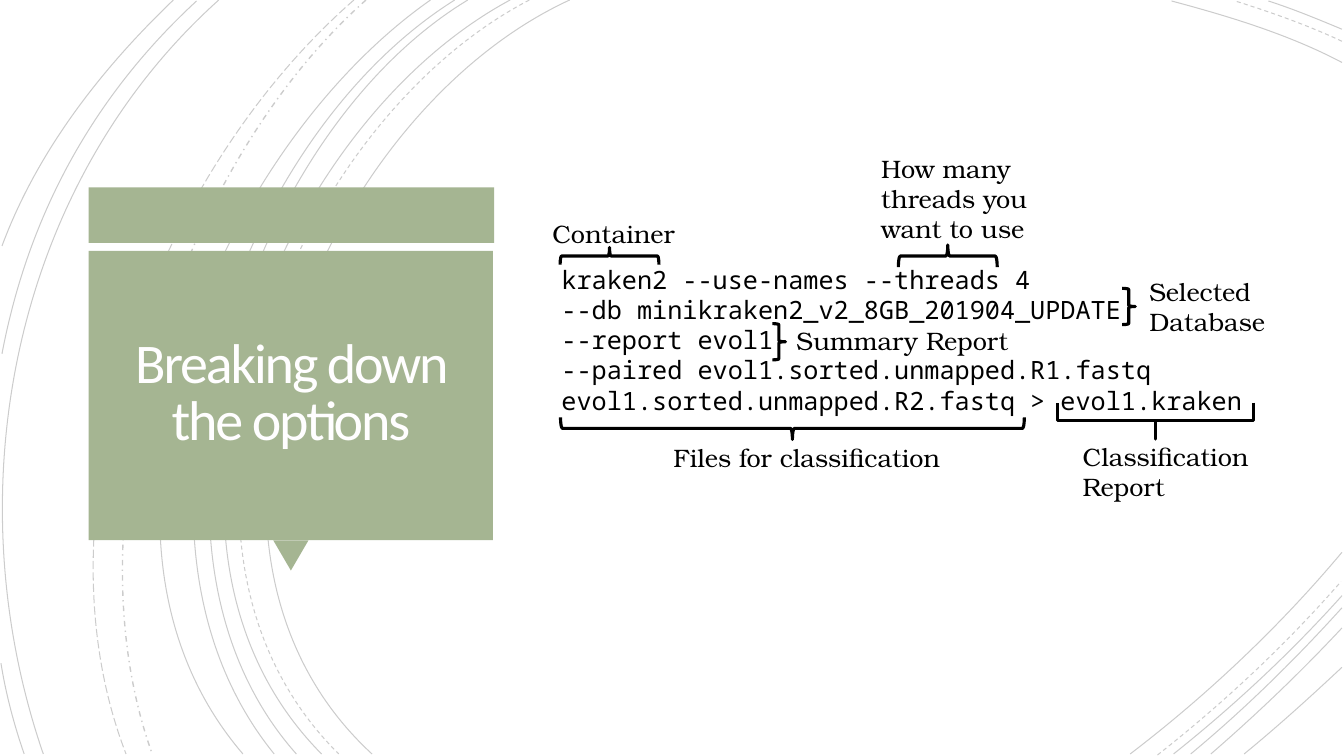
import pptx
import pptx.util
import pptx.dml.color
import pptx.enum.dml
import pptx.enum.shapes
import pptx.enum.text
import pptx.oxml
import pptx.oxml.ns
import lxml.etree

Inches = pptx.util.Inches
Pt = pptx.util.Pt
Preset = pptx.enum.shapes.MSO_SHAPE
Dash = pptx.enum.dml.MSO_LINE
qn = pptx.oxml.ns.qn


def paint(color_format, color):
    color_format.rgb = pptx.dml.color.RGBColor.from_string(color)


def write(box, lines, font, color):
    frame = box.text_frame
    frame.word_wrap = True
    for index, line in enumerate(lines):
        para = frame.paragraphs[0] if index == 0 else frame.add_paragraph()
        span = para.add_run()
        span.text = line
        for name, value in font.items():
            setattr(span.font, name, value)
        paint(span.font.color, color)
    return frame


deck = pptx.Presentation()
deck.slide_width = Inches(13.33)
deck.slide_height = Inches(7.5)
page = deck.slides.add_slide(deck.slide_layouts[5])
shapes = page.shapes

curves = [
    ("SOLID", (5.65, 0), (3.15, 1.15), (1.43, 5.4), (3.69, 7.48)),
    ("SOLID", (13.31, 0.62), (12.78, 0.34), (12.18, 0.16), (11.62, 0.01)),
    ("SOLID", (11.21, 7.48), (11.97, 6.9), (12.69, 6.22), (13.31, 5.48)),
    ("DASH", (5.25, 0), (2.85, 1.25), (1.23, 5.37), (3.36, 7.48)),
    ("DASH", (13.31, 0.41), (12.97, 0.25), (12.6, 0.12), (12.25, 0.01)),
    ("DASH", (11.48, 7.49), (12.13, 6.98), (12.75, 6.4), (13.3, 5.77)),
    ("SOLID", (5.06, 0), (2.7, 1.27), (1.1, 5.37), (3.19, 7.48)),
    ("SOLID", (13.31, 0.29), (13.07, 0.19), (12.83, 0.09), (12.58, 0.01)),
    ("SOLID", (11.64, 7.48), (12.23, 7.01), (12.8, 6.48), (13.31, 5.91)),
    ("SOLID", (4.64, 0), (2.44, 1.33), (1.1, 5.41), (2.94, 7.48)),
    ("SOLID", (11.81, 7.48), (12.34, 7.04), (12.84, 6.55), (13.31, 6.03)),
    ("SOLID", (4.51, 0), (2.31, 1.38), (0.97, 5.33), (2.72, 7.48)),
    ("SOLID", (12.01, 7.48), (12.46, 7.09), (12.9, 6.67), (13.31, 6.23)),
    ("SOLID", (4.27, 0), (2.17, 1.47), (0.53, 5.29), (2.41, 7.48)),
    ("SOLID", (12.34, 7.48), (12.67, 7.21), (12.99, 6.92), (13.31, 6.62)),
    ("DASH_DOT", (3.63, 0), (1.76, 1.66), (0.65, 5.09), (1.51, 7.48)),
    ("LONG_DASH", (3.51, 0), (1.57, 1.69), (0.29, 4.99), (1.25, 7.48)),
    ("SOLID", (2.17, 0), (0.11, 1.85), (-0.46, 4.9), (0.43, 7.48)),
    ("SOLID", (1.95, 0.01), (0.92, 0.96), (0.28, 2.14), (0.02, 3.51)),
    ("SOLID", (0.01, 6.58), (0.06, 6.89), (0.14, 7.19), (0.24, 7.48)),
    ("SOLID", (1.72, 0), (1, 0.69), (0.37, 1.5), (0.02, 2.44)),
]
for dash, *points in curves:
    start, *bends = [(Inches(x), Inches(y)) for x, y in points]
    builder = shapes.build_freeform(*start)
    builder.add_line_segments(bends, close=False)
    curve = builder.convert_to_shape()
    curve.shadow.inherit = False
    curve.fill.background()
    curve.line.width = Pt(1 if dash == "DASH_DOT" else 0.75)
    paint(curve.line.color, "000000")
    curve.line.dash_style = getattr(Dash, dash)
    tint = curve.line.fill.fore_color and curve.element.spPr.find(".//" + qn("a:srgbClr"))
    lxml.etree.SubElement(tint, qn("a:alpha"), val="20000")
    segments = list(curve.element.iter(qn("a:lnTo")))
    bezier = lxml.etree.SubElement(segments[0].getparent(), qn("a:cubicBezTo"))
    for segment in segments:
        bezier.append(segment[0])
        segment.getparent().remove(segment)

panels = [
    (Preset.RECTANGLE, 0, (0.88, 1.86, 4.02, 0.55)),
    (Preset.ISOSCELES_TRIANGLE, 180, (2.71, 5.36, 0.35, 0.3)),
    (Preset.RECTANGLE, 0, (0.88, 2.49, 4.01, 2.87)),
]
for preset, rotation, place in panels:
    panel = shapes.add_shape(preset, *map(Inches, place))
    panel.rotation = rotation
    panel.shadow.inherit = False
    panel.fill.solid()
    paint(panel.fill.fore_color, "A5B592")
    panel.line.fill.background()

title = shapes.title
title.element.getparent().append(title.element)
title_place = {"left": 0.97, "top": 2.57, "width": 3.83, "height": 2.69}
for name, value in title_place.items():
    setattr(title, name, Inches(value))
frame = write(title, ["Breaking down the options"], {"name": "Calibri", "size": Pt(40)}, "FFFEFF")
for side in ("left", "top", "right", "bottom"):
    setattr(frame, "margin_" + side, Inches(0.25))
frame.auto_size = pptx.enum.text.MSO_AUTO_SIZE.NONE
frame.vertical_anchor = pptx.enum.text.MSO_ANCHOR.MIDDLE
heading = frame.paragraphs[0]
heading.alignment = pptx.enum.text.PP_ALIGN.CENTER
heading.line_spacing = 0.85
heading.runs[0].font.bold = False
heading.runs[0].font._element.set("spc", "-150")

command = [
    "kraken2 --use-names --threads 4",
    "--db minikraken2_v2_8GB_201904_UPDATE",
    "--report evol1",
    "--paired evol1.sorted.unmapped.R1.fastq evol1.sorted.unmapped.R2.fastq > evol1.kraken",
]
texts = [
    ("Noto Sans Mono", command, (5.47, 2.57, 7.04, 1.62)),
    ("TeX Gyre Bonum", ["Selected Database"], (11.3, 2.69, 2.15, 0.71)),
    ("TeX Gyre Bonum", ["How many threads you want to use"], (8.64, 1.47, 2.15, 1.01)),
    ("TeX Gyre Bonum", ["Container"], (5.38, 2.12, 2.15, 0.4)),
    ("TeX Gyre Bonum", ["Summary Report"], (7.8, 3.18, 3.62, 0.4)),
    ("TeX Gyre Bonum", ["Classification Report"], (10.64, 4.33, 2.32, 0.71)),
    ("TeX Gyre Bonum", ["Files for classification"], (6.58, 4.34, 3.62, 0.4)),
]
for font_name, lines, place in texts:
    box = shapes.add_textbox(*map(Inches, place))
    frame = write(box, lines, {"name": font_name, "size": Pt(18)}, "000000")
    frame.auto_size = pptx.enum.text.MSO_AUTO_SIZE.SHAPE_TO_FIT_TEXT

round_bend, square_bend = 0.08333, 0
braces = [
    (90, round_bend, (5.96, 2.05, 0.17, 0.98)),
    (90, round_bend, (9.29, 2.05, 0.22, 0.98)),
    (180, round_bend, (11.13, 2.86, 0.13, 0.36)),
    (180, round_bend, (7.66, 3.21, 0.13, 0.36)),
    (270, round_bend, (7.75, 1.95, 0.22, 4.6)),
    (270, square_bend, (11.28, 3.2, 0.36, 1.95)),
]
for rotation, bend, place in braces:
    brace = shapes.add_shape(Preset.LEFT_BRACE, *map(Inches, place))
    brace.rotation = rotation
    brace.adjustments[0] = bend
    brace.shadow.inherit = False
    brace.fill.background()
    brace.line.width = Pt(2.25)
    paint(brace.line.color, "000000")

deck.save("out.pptx")
